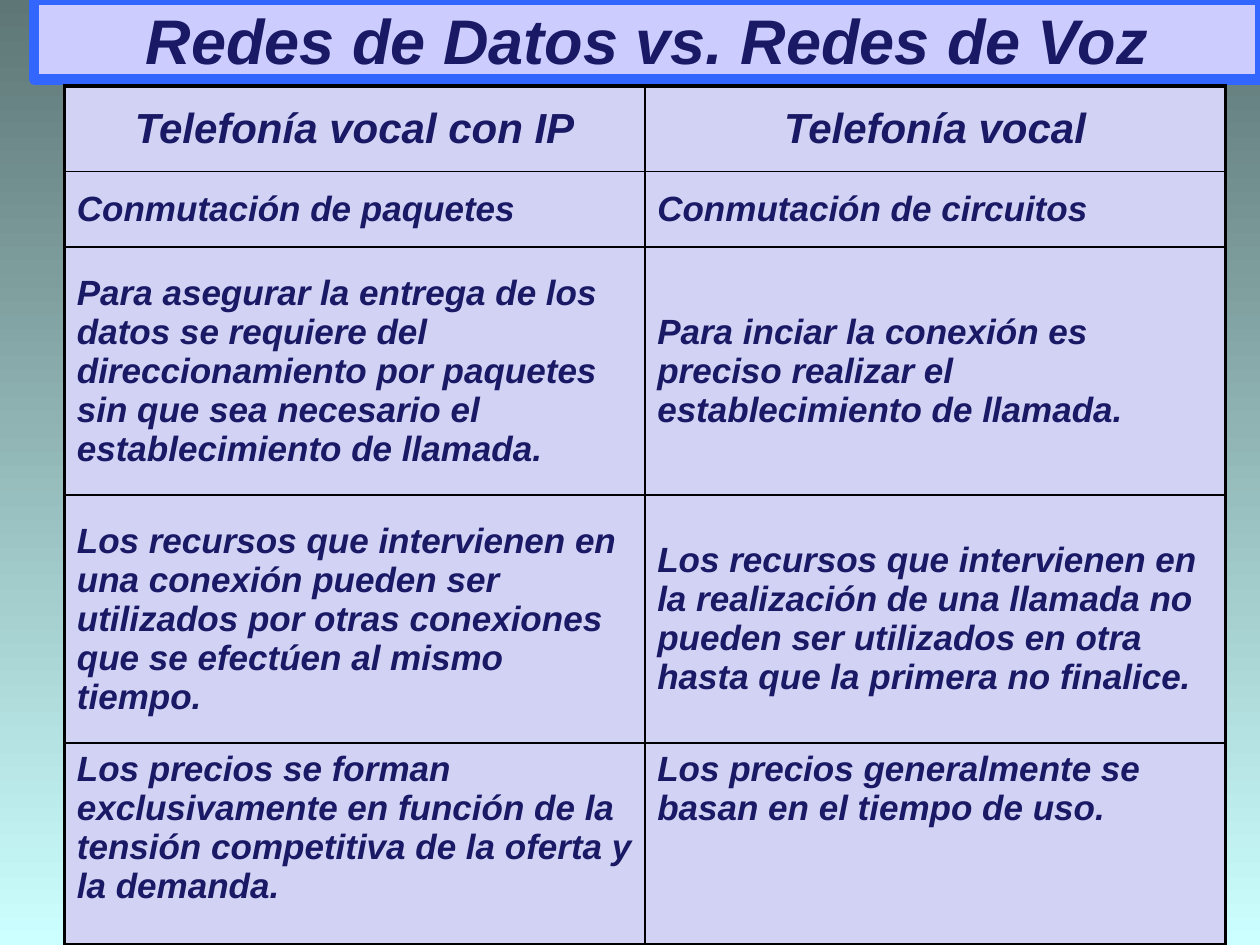
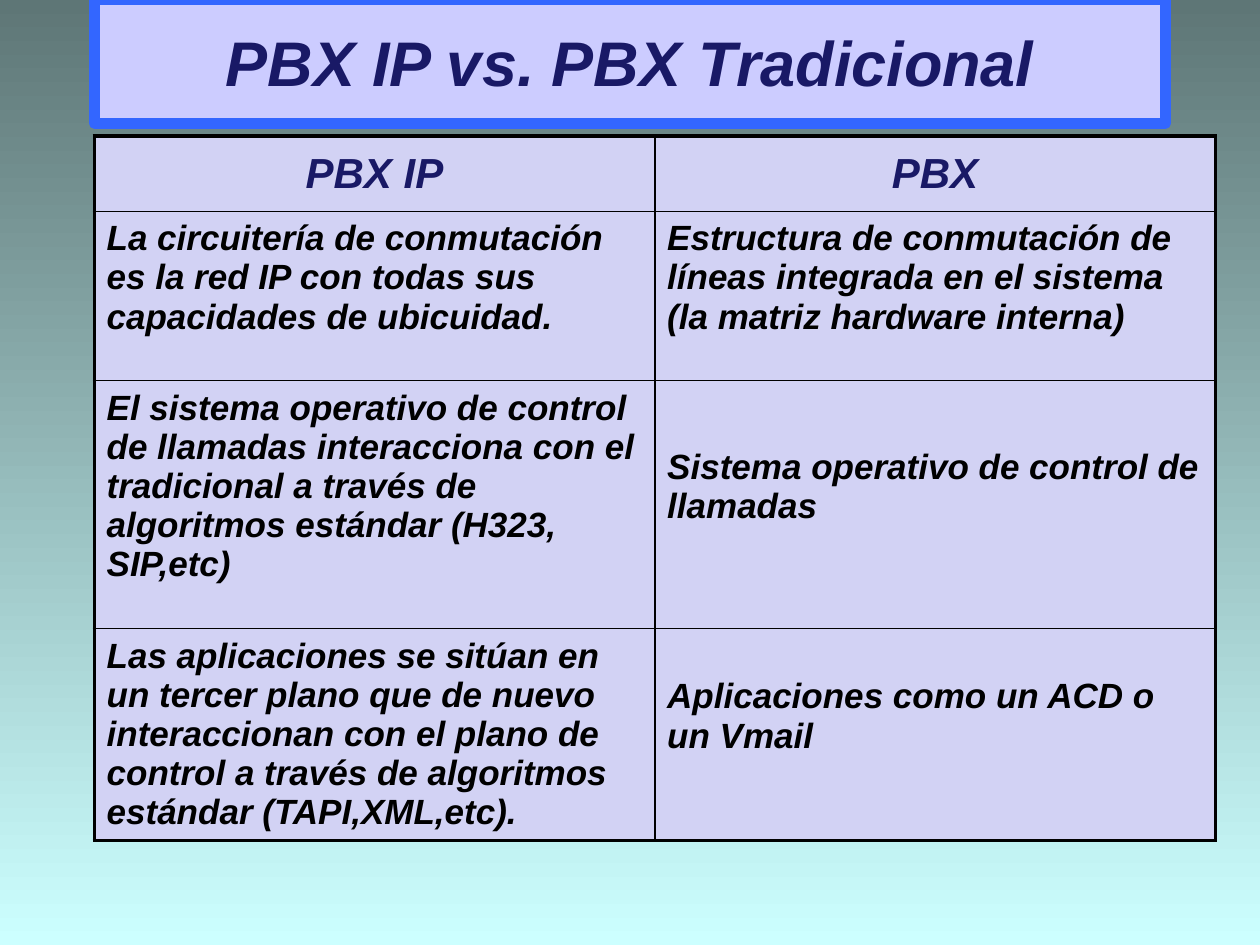
import pptx
import pptx.util
import pptx.dml.color
import pptx.enum.text
from dataclasses import dataclass
from lxml import etree

Cm, Pt = pptx.util.Cm, pptx.util.Pt
ALIGN = pptx.enum.text.PP_ALIGN
ANCHOR = pptx.enum.text.MSO_ANCHOR


@dataclass(frozen=True)
class Theme:
    font: str = "Arial"
    navy: str = "191966"
    black: str = "000000"
    title_fill: str = "CCCCFF"
    title_line: str = "3366FF"
    cell_fill: str = "D2D2F4"
    bg_top: str = "5E7676"
    bg_bottom: str = "CCFFFF"
    title_size: int = 36
    head_size: int = 24
    body_size: int = 20
    frame_width: float = 2.25
    grid_width: float = 1
    title_width: float = 6


T = Theme()

# Content: boxes are (left, top, width, height) in cm.
# Each body row is (height, left text, right text, format per cell).
MIDDLE = dict(anchor=ANCHOR.MIDDLE)
TOP = dict(anchor=ANCHOR.TOP)
RAISED = dict(anchor=ANCHOR.MIDDLE, bottom=0.86)

SLIDES = [
    dict(
        title="Redes de Datos vs. Redes de Voz",
        title_box=(0.69, 0, 24.71, 1.6),
        table_at=(1.3, 1.73), col_width=11.7, body_color=T.navy,
        head=(1.73, "Telefonía vocal con IP", "Telefonía vocal"),
        rows=[
            (1.52, "Conmutación de paquetes", "Conmutación de circuitos",
             (MIDDLE, MIDDLE)),
            (5, "Para asegurar la entrega de los datos se requiere del "
                "direccionamiento por paquetes sin que sea necesario el "
                "establecimiento de llamada.",
             "Para inciar la conexión es preciso realizar el "
             "establecimiento de llamada.", (MIDDLE, MIDDLE)),
            (5, "Los recursos que intervienen en una conexión pueden ser "
                "utilizados por otras conexiones que se efectúen al mismo "
                "tiempo.",
             "Los recursos que intervienen en la realización de una llamada "
             "no pueden ser utilizados en otra hasta que la primera no "
             "finalice.", (MIDDLE, MIDDLE)),
            (4.06, "Los precios se forman exclusivamente en función de la "
                   "tensión competitiva de la oferta y la demanda.",
             "Los precios generalmente se basan en el tiempo de uso.",
             (TOP, TOP)),
        ],
    ),
    dict(
        title="PBX IP vs. PBX Tradicional",
        title_box=(1.9, 0, 21.6, 2.49),
        table_at=(1.9, 2.74), col_width=11.3, body_color=T.black,
        head=(1.52, "PBX IP", "PBX"),
        rows=[
            (3.41, "La circuitería de conmutación es la red IP con todas sus "
                   "capacidades de ubicuidad.",
             "Estructura de conmutación de líneas integrada en el sistema "
             "(la matriz hardware interna)", (RAISED, RAISED)),
            (5, "El sistema operativo de control de llamadas interacciona "
                "con el tradicional a través de algoritmos estándar (H323, "
                "SIP,etc)",
             "Sistema operativo de control de llamadas", (RAISED, RAISED)),
            (4.27, "Las aplicaciones se sitúan en un tercer plano que de "
                   "nuevo interaccionan con el plano de control a través de "
                   "algoritmos estándar (TAPI,XML,etc).",
             "Aplicaciones como un ACD o un Vmail", (MIDDLE, RAISED)),
        ],
    ),
]


def rgb(value):
    return pptx.dml.color.RGBColor.from_string(value)


def write(tf, text, size, color=T.navy, align=ALIGN.LEFT):
    """Put bold italic text into a frame."""
    tf.word_wrap = True
    p = tf.paragraphs[0]
    p.alignment = align
    p.space_before = Pt(0)
    r = p.add_run()
    r.text = text
    r.font.name, r.font.size = T.font, Pt(size)
    r.font.bold = r.font.italic = True
    r.font.color.rgb = rgb(color)


def set_borders(cell, widths):
    """Draw the left, right, top and bottom borders, in that order."""
    tcPr = cell._tc.get_or_add_tcPr()
    ns = "http://schemas.openxmlformats.org/drawingml/2006/main"
    for i, (side, width) in enumerate(zip("LRTB", widths)):
        ln = etree.Element(f"{{{ns}}}ln{side}", w=str(int(Pt(width))))
        fill = etree.SubElement(ln, f"{{{ns}}}solidFill")
        etree.SubElement(fill, f"{{{ns}}}srgbClr", val=T.black)
        tcPr.insert(i, ln)


def add_title(s, text, box):
    sp = s.shapes.title
    sp.left, sp.top, sp.width, sp.height = map(Cm, box)
    sp.fill.solid()
    sp.fill.fore_color.rgb = rgb(T.title_fill)
    sp.line.color.rgb = rgb(T.title_line)
    sp.line.width = Pt(T.title_width)
    tf = sp.text_frame
    tf.auto_size = pptx.enum.text.MSO_AUTO_SIZE.NONE
    tf.vertical_anchor = ANCHOR.MIDDLE
    write(tf, text, T.title_size, align=ALIGN.CENTER)


def add_comparison(s, data):
    rows = [(*data["head"], (MIDDLE, MIDDLE))] + data["rows"]
    last = len(rows) - 1
    width, height = 2 * data["col_width"], sum(row[0] for row in rows)
    table = s.shapes.add_table(len(rows), 2, *map(
        Cm, (*data["table_at"], width, height))).table
    table.first_row = table.horz_banding = False
    for col in table.columns:
        col.width = Cm(data["col_width"])
    for i, (row_height, left, right, formats) in enumerate(rows):
        table.rows[i].height = Cm(row_height)
        for j, (text, fmt) in enumerate(zip((left, right), formats)):
            cell = table.cell(i, j)
            cell.fill.solid()
            cell.fill.fore_color.rgb = rgb(T.cell_fill)
            cell.vertical_anchor = fmt["anchor"]
            cell.margin_left = cell.margin_right = Cm(0.25)
            cell.margin_top = Cm(0.13)
            cell.margin_bottom = Cm(fmt.get("bottom", 0.13))
            # Outer edges are thick, inner ones thin
            outer = (j == 0, j == 1, i == 0, i == last)
            set_borders(cell, [T.frame_width if edge else T.grid_width
                               for edge in outer])
            if i == 0:
                write(cell.text_frame, text, T.head_size, align=ALIGN.CENTER)
            else:
                write(cell.text_frame, text, T.body_size, data["body_color"])


def main():
    prs = pptx.Presentation()
    prs.slide_width, prs.slide_height = Cm(25.4), Cm(19.05)

    # Shared background, dark at the top
    fill = prs.slide_master.background.fill
    fill.gradient()
    fill.gradient_angle = 270
    for stop, color, position in zip(fill.gradient_stops,
                                     (T.bg_top, T.bg_bottom), (0, 1)):
        stop.color.rgb = rgb(color)
        stop.position = position

    for data in SLIDES:
        s = prs.slides.add_slide(prs.slide_layouts.get_by_name("Title Only"))
        add_title(s, data["title"], data["title_box"])
        add_comparison(s, data)
    prs.save("out.pptx")


if __name__ == "__main__":
    main()
